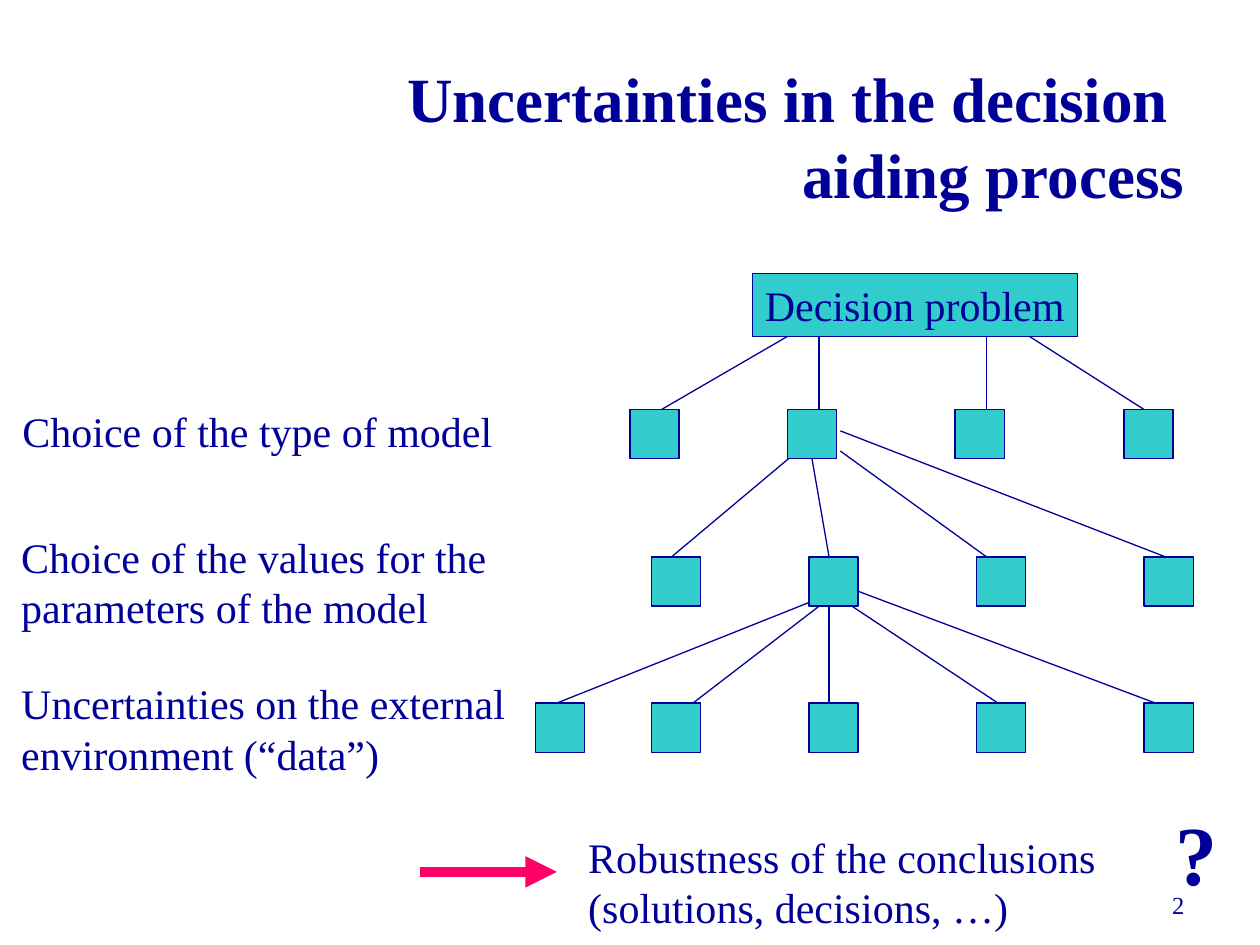
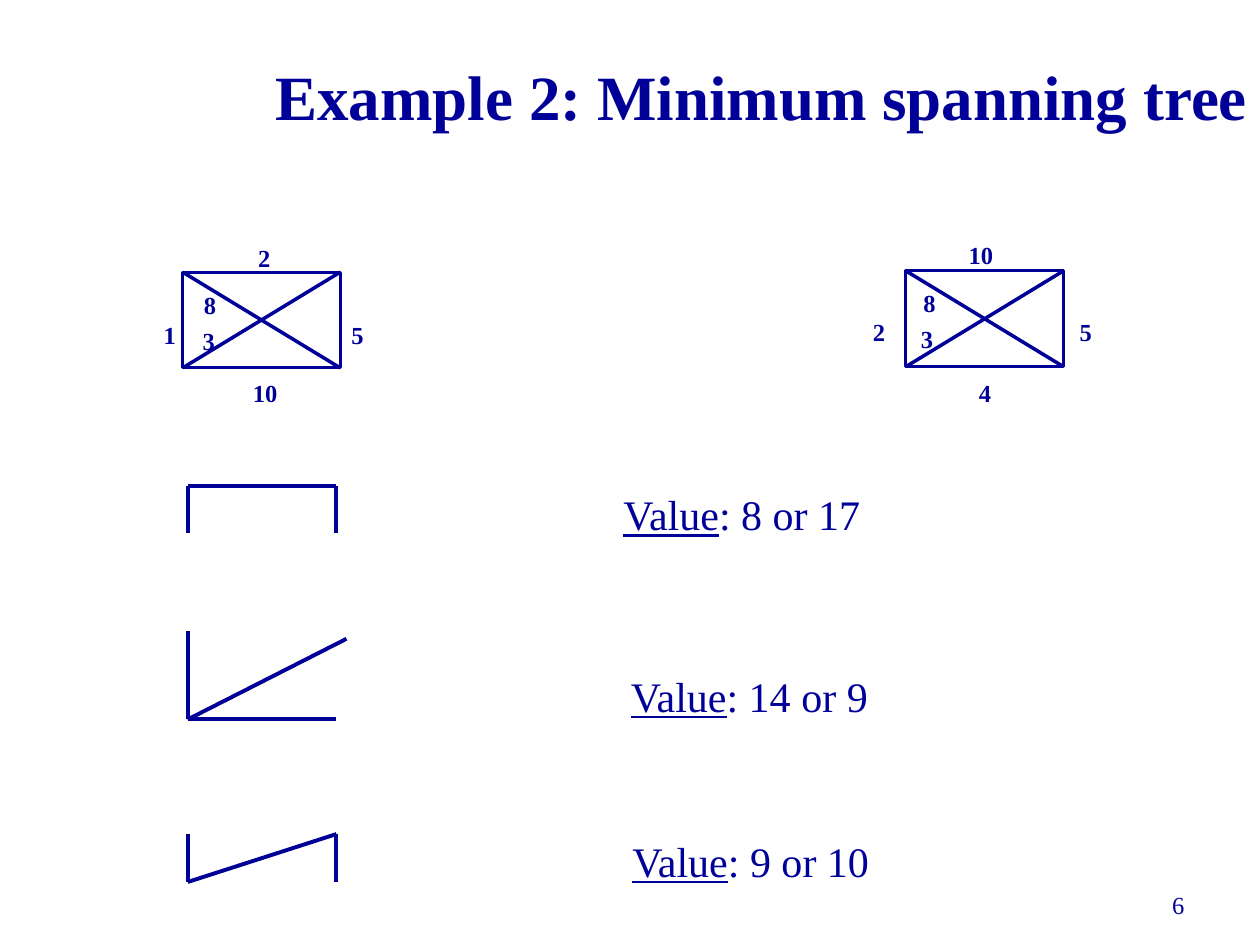
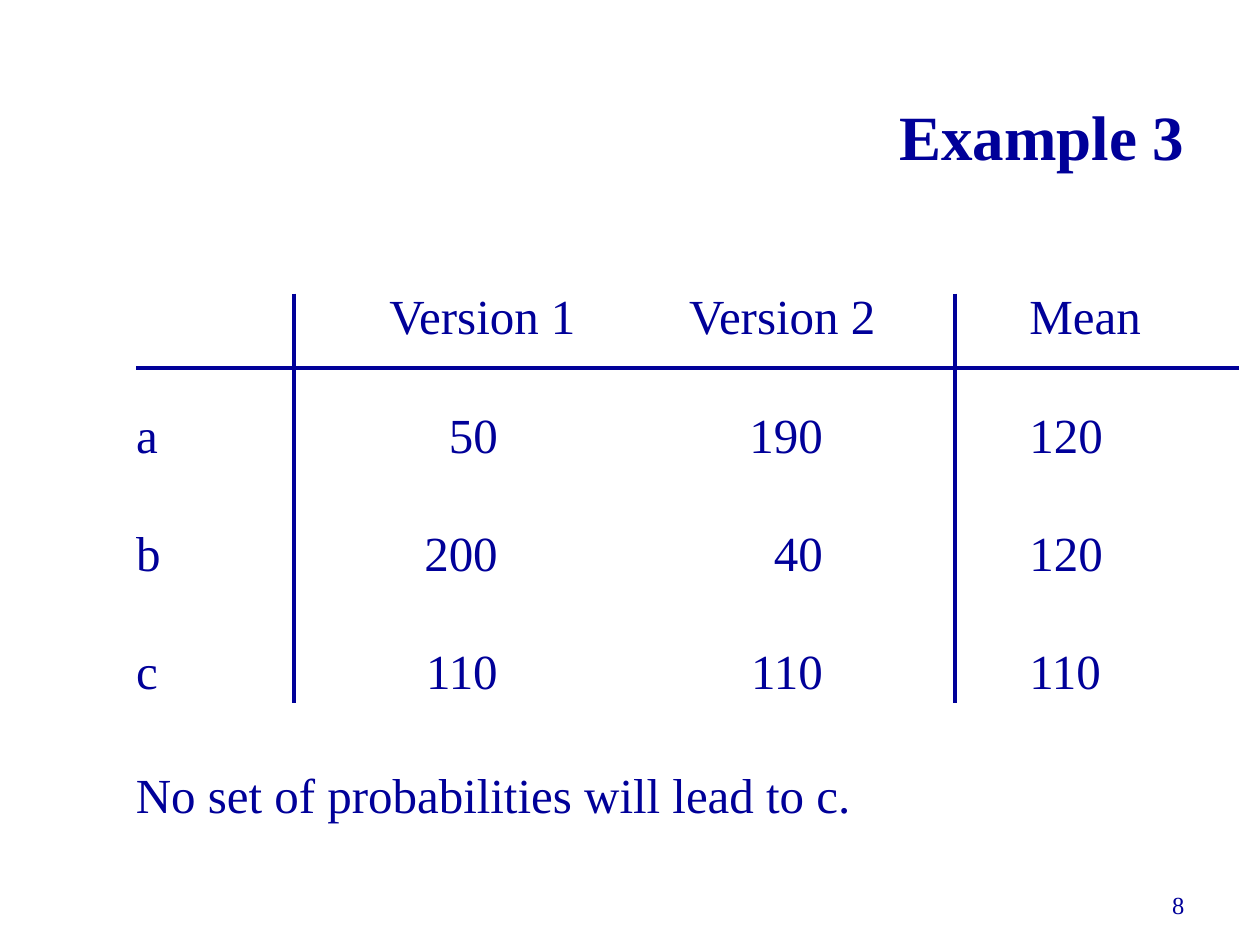
from pptx import Presentation
from pptx import util as u
from pptx.dml import color
from pptx.enum import shapes, text
from pptx.oxml import ns
from lxml import etree

SCALE = 9144
INK, TEAL, PINK = "000099", "33CCCC", "FF0066"
FONT = "Times New Roman"
LEFT, MID, RIGHT = text.PP_ALIGN.LEFT, text.PP_ALIGN.CENTER, text.PP_ALIGN.RIGHT
TOP, CORE, BASE = text.MSO_ANCHOR.TOP, text.MSO_ANCHOR.MIDDLE, text.MSO_ANCHOR.BOTTOM
RECT = shapes.MSO_SHAPE.RECTANGLE
rgb = color.RGBColor.from_string


def write(frame, words, size=24, bold=False, align=LEFT, anchor=TOP, wrap=True, lead=""):
    frame.auto_size = text.MSO_AUTO_SIZE.NONE
    frame.word_wrap = wrap
    frame.vertical_anchor = anchor
    for i, row in enumerate(words.split("\n")):
        para = frame.add_paragraph() if i else frame.paragraphs[0]
        para.alignment = align
        for part, under in ((lead, True), (row, False)):
            if part:
                run = para.add_run()
                run.text = part
                font = run.font
                font.name, font.size, font.bold = FONT, u.Pt(size), bold
                font.underline = under
                font.color.rgb = rgb(INK)


def draw(page, ends, width, tint=INK):
    line = page.shapes.add_connector(
        shapes.MSO_CONNECTOR.STRAIGHT, *[v * SCALE for v in ends])
    line.line.color.rgb = rgb(tint)
    line.line.width = u.Pt(width)
    etree.SubElement(line._element.spPr, ns.qn("a:effectLst"))
    return line


deck = Presentation()
deck.slide_width, deck.slide_height = 1000 * SCALE, 750 * SCALE

pages = []
for words, number, left, top in [
    ("Uncertainties in the decision \naiding process", "2", 50, 32),
    ("Example 2: Minimum spanning tree", "6", 100, 0),
    ("Example 3", "8", 50, 32),
]:
    page = deck.slides.add_slide(deck.slide_layouts[5])
    title = page.shapes.title
    title.left, title.top = left * SCALE, top * SCALE
    title.width, title.height = 900 * SCALE, 151 * SCALE
    write(title.text_frame, words, size=36, bold=True, align=RIGHT, anchor=CORE)
    foot = page.shapes.add_textbox(*[v * SCALE for v in (717, 683, 233, 52)])
    write(foot.text_frame, number, size=14, align=RIGHT, anchor=BASE)
    pages.append(page)
tree, span, mean = pages

for ends in [
    (625, 267, 525, 325), (650, 267, 650, 325), (783, 267, 783, 325), (817, 267, 908, 325),
    (633, 358, 533, 442), (642, 350, 658, 442), (667, 358, 783, 442), (667, 342, 925, 442),
    (650, 475, 442, 558), (658, 475, 550, 558), (658, 475, 658, 558),
    (667, 475, 792, 558), (675, 467, 917, 558),
]:
    draw(tree, ends, 0.75)

nodes = [(597, 217, 258, 50, "Decision problem")]
for top, lefts in [
    (325, (500, 625, 758, 892)),
    (442, (517, 642, 775, 908)),
    (558, (425, 517, 642, 775, 908)),
]:
    nodes += [(left, top, 39, 39, "") for left in lefts]
for *box, words in nodes:
    node = tree.shapes.add_shape(RECT, *[v * SCALE for v in box])
    node.shadow.inherit = False
    node.fill.solid()
    node.fill.fore_color.rgb = rgb(TEAL)
    node.line.color.rgb = rgb(INK)
    node.line.width = u.Pt(0.75)
    write(node.text_frame, words, align=MID, anchor=CORE, wrap=False)

for left, top, words in [
    (8, 317, "Choice of the type of model"),
    (7, 417, "Choice of the values for the\nparameters of the model"),
    (7, 533, "Uncertainties on the external\nenvironment (“data”)"),
    (457, 655, "Robustness of the conclusions\n(solutions, decisions, …)"),
]:
    note = tree.shapes.add_textbox(*[v * SCALE for v in (left, top, 435, 90)])
    write(note.text_frame, words)
mark = tree.shapes.add_textbox(*[v * SCALE for v in (923, 631, 60, 90)])
write(mark.text_frame, "?", size=48, bold=True)

arrow = draw(tree, (333, 692, 442, 692), 6, PINK)
etree.SubElement(arrow.line._get_or_add_ln(), ns.qn("a:tailEnd"), type="triangle")

for left, top, costs in [
    (145, 216, [("2", 195, 188), ("8", 152, 225), ("1", 120, 249),
                ("3", 151, 254), ("5", 269, 249), ("10", 191, 295)]),
    (719, 215, [("10", 759, 186), ("8", 723, 224), ("2", 683, 247),
                ("3", 721, 252), ("5", 847, 247), ("4", 767, 295)]),
]:
    end, low = left + 125, top + 76
    draw(span, (left, top, end, low), 2)
    draw(span, (end, top, left, low), 2)
    graph = span.shapes.add_shape(RECT, *[v * SCALE for v in (left, top, 125, 76)])
    graph.shadow.inherit = False
    graph.fill.background()
    graph.line.color.rgb = rgb(INK)
    graph.line.width = u.Pt(1.75)
    for cost, x, y in costs:
        label = span.shapes.add_textbox(*[v * SCALE for v in (x, y, 46, 34)])
        write(label.text_frame, cost, size=14, bold=True)

for left, top, words, edges in [
    (485, 383, ": 8 or 17",
     [(149, 423, 149, 386), (149, 386, 267, 386), (267, 386, 267, 423)]),
    (491, 527, ": 14 or 9",
     [(149, 571, 149, 501), (149, 571, 275, 507), (149, 571, 267, 571)]),
    (492, 658, ": 9 or 10",
     [(149, 700, 149, 662), (149, 700, 267, 662), (267, 662, 267, 700)]),
]:
    for ends in edges:
        draw(span, ends, 2.25)
    value = span.shapes.add_textbox(*[v * SCALE for v in (left, top, 220, 50)])
    write(value.text_frame, words, lead="Value")

rows = [
    ("", "Version 1", "Version 2", "Mean"),
    ("a", "50", "190", "120"),
    ("b", "200", "40", "120"),
    ("c", "110", "110", "110"),
]
cols = [(135, 10), (238, 76), (258, 76), (254, 88)]
grid = mean.shapes.add_table(4, 4, *[v * SCALE for v in (98, 226, 885, 376)]).table
grid.first_row = grid.horz_banding = False
for c, (width, pad) in enumerate(cols):
    grid.columns[c].width = width * SCALE
    for r, row in enumerate(rows):
        cell = grid.cell(r, c)
        cell.fill.background()
        score = r > 0 and c in (1, 2)
        cell.margin_left = 0 if score else pad * SCALE
        cell.margin_right = pad * SCALE if score else 0
        write(cell.text_frame, row[c], size=28, align=RIGHT if score else LEFT)

for ends in [(108, 292, 983, 292), (233, 233, 233, 558), (758, 233, 758, 558)]:
    draw(mean, ends, 2.25)
claim = mean.shapes.add_textbox(*[v * SCALE for v in (98, 602, 620, 60)])
write(claim.text_frame, "No set of probabilities will lead to c.", size=28)

deck.save("out.pptx")
